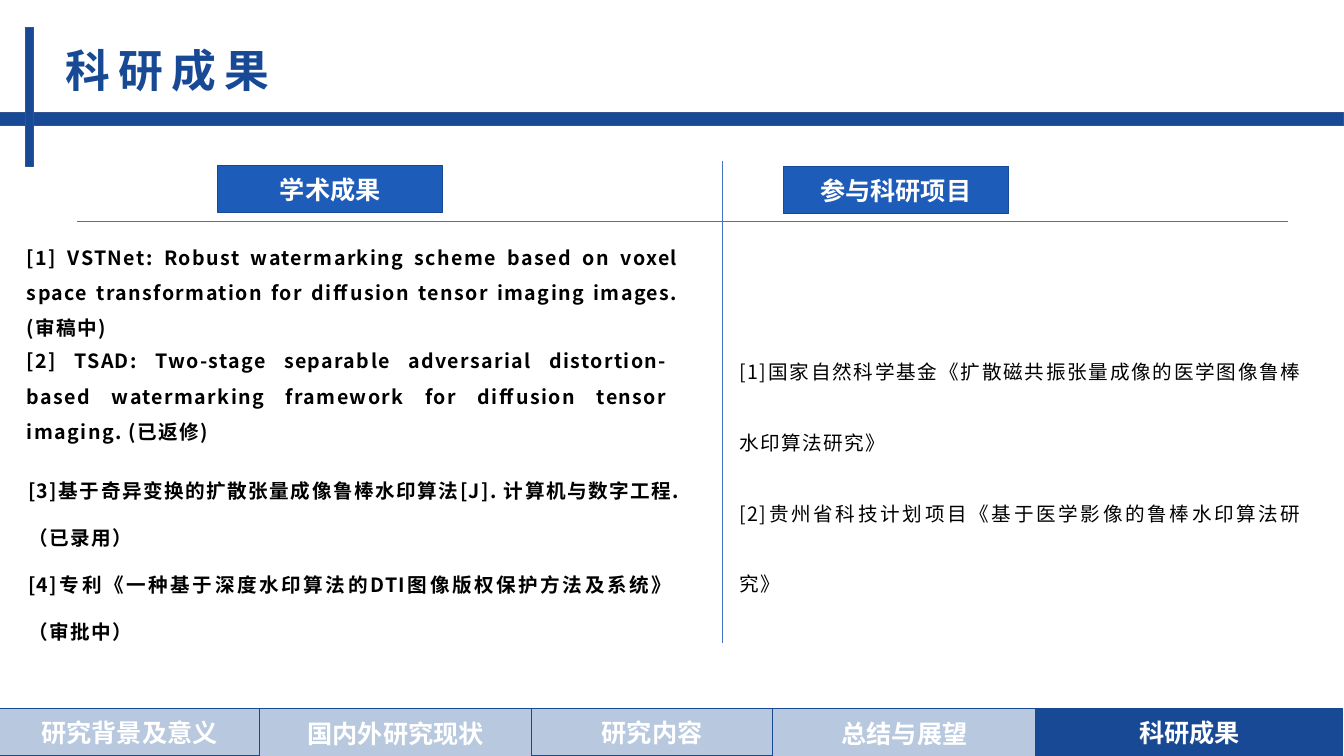
from itertools import pairwise

from lxml.etree import SubElement
from pptx import Presentation
from pptx.dml.color import RGBColor
from pptx.enum.shapes import MSO_CONNECTOR as Connector, MSO_SHAPE as Shape
from pptx.enum.text import MSO_ANCHOR as Anchor, MSO_AUTO_SIZE as AutoSize, PP_ALIGN as Align
from pptx.oxml.ns import qn
from pptx.util import Cm, Pt

CJK_FONT = "Noto Sans CJK SC"
NAVY, BLUE, WHITE, BLACK = "174994", "1D5CB9", "FFFFFF", "000000"
BAR_LINE, RULE_LINE = "325491", "4472C4"


def colour(value):
    """Turn a hex string into a colour."""
    return RGBColor.from_string(value)


def write(frame, *texts, size=18, font=CJK_FONT, ink=WHITE, bold=True,
          align=Align.CENTER, line_spacing=1.0, tracking=0):
    """Write each text as one formatted paragraph of the frame."""
    for index, text in enumerate(texts):
        paragraph = frame.add_paragraph() if index else frame.paragraphs[0]
        paragraph.alignment = align
        paragraph.line_spacing = line_spacing
        run = paragraph.add_run()
        run.text = text
        run.font.size = Pt(size)
        run.font.bold = bold
        run.font.name = font
        run.font.color.rgb = colour(ink)
        properties = run.font._element
        SubElement(properties, qn("a:ea")).set("typeface", CJK_FONT)
        if tracking:
            properties.set("spc", str(tracking * 100))


def add_bar(slide, left, top, width, height, fill=NAVY, line=NAVY, opacity=100):
    """Add a rectangle with a hairline border and return it."""
    shape = slide.shapes.add_shape(Shape.RECTANGLE, Cm(left), Cm(top), Cm(width), Cm(height))
    shape.shadow.inherit = False
    shape.fill.solid()
    shape.fill.fore_color.rgb = colour(fill)
    shape.line.color.rgb = colour(line)
    shape.line.width = Pt(0)
    if opacity < 100:
        tint = shape.fill._xPr.find(qn("a:solidFill"))[0]
        SubElement(tint, qn("a:alpha")).set("val", str(opacity * 1000))
    return shape


def add_label(slide, text, *box, **style):
    """Add a rectangle with a centred label."""
    frame = add_bar(slide, *box, **style).text_frame
    frame.vertical_anchor = Anchor.MIDDLE
    frame.word_wrap = True
    write(frame, text)


def add_rule(slide, left, top, right, bottom):
    """Add a thin straight line."""
    rule = slide.shapes.add_connector(Connector.STRAIGHT, Cm(left), Cm(top), Cm(right), Cm(bottom))
    rule.line.color.rgb = colour(RULE_LINE)
    rule.line.width = Pt(0.5)
    SubElement(rule._element.spPr, qn("a:effectLst"))


def add_title(slide, text):
    """Add the slide title beside the vertical bar."""
    frame = slide.shapes.add_textbox(Cm(0.64), Cm(1.4), Cm(13.39), Cm(1.02)).text_frame
    frame.margin_left = Cm(1)
    frame.margin_top = frame.margin_right = frame.margin_bottom = 0
    frame.vertical_anchor = Anchor.BOTTOM
    frame.word_wrap = False
    write(frame, text, size=32, font="Arial", ink=NAVY, align=Align.LEFT, tracking=6)


def add_entries(slide, left, top, width, height, *texts, **style):
    """Add a justified text box with numbered entries."""
    frame = slide.shapes.add_textbox(Cm(left), Cm(top), Cm(width), Cm(height)).text_frame
    frame.word_wrap = True
    frame.auto_size = AutoSize.SHAPE_TO_FIT_TEXT
    write(frame, *texts, size=14, ink=BLACK, align=Align.JUSTIFY, tracking=1, **style)


def add_navigation(slide, current):
    """Add the section tabs along the bottom, with the current one solid."""
    sections = [("研究背景及意义", 1.19), ("国内外研究现状", 1.24), ("研究内容", 1.19),
                ("总结与展望", 1.22), ("科研成果", 1.19)]
    edges = [-0.02, 6.55, 13.39, 19.48, 26.11, 33.84]
    for (name, height), (left, right) in zip(sections, pairwise(edges)):
        add_label(slide, name, left, 17.86, right - left, height,
                  opacity=100 if name == current else 30)


def main():
    """Build the research results slide."""
    presentation = Presentation()
    presentation.slide_width, presentation.slide_height = Cm(33.87), Cm(19.05)
    slide = presentation.slides.add_slide(presentation.slide_layouts[6])

    add_bar(slide, 0, 2.84, 33.87, 0.33, line=BAR_LINE)
    add_bar(slide, 0.64, 0.69, 0.21, 3.5, line=BAR_LINE)
    add_title(slide, "科研成果")
    add_navigation(slide, "科研成果")

    add_rule(slide, 1.95, 5.58, 32.46, 5.58)
    add_rule(slide, 18.21, 4.06, 18.21, 16.2)
    add_label(slide, "学术成果", 5.49, 4.17, 5.67, 1.19, fill=BLUE)
    add_label(slide, "参与科研项目", 19.74, 4.2, 5.67, 1.19, fill=BLUE)

    add_entries(slide, 0.43, 5.77, 16.94, 2.82,
                "[1] VSTNet: Robust watermarking scheme based on voxel space "
                "transformation for diffusion tensor imaging images. (审稿中)",
                line_spacing=1.5)
    add_entries(slide, 0.43, 8.38, 16.66, 2.82,
                "[2] TSAD: Two-stage separable adversarial distortion-based "
                "watermarking framework for diffusion tensor imaging. (已返修)",
                line_spacing=1.5)
    add_entries(slide, 0.46, 11.35, 16.74, 4.83,
                "[3]基于奇异变换的扩散张量成像鲁棒水印算法[J]. 计算机与数字工程.（已录用）",
                "[4]专利《一种基于深度水印算法的DTI图像版权保护方法及系统》（审批中）",
                line_spacing=2.0)
    add_entries(slide, 18.39, 7.77, 14.68, 5.31,
                "[1]国家自然科学基金《扩散磁共振张量成像的医学图像鲁棒水印算法研究》",
                "[2]贵州省科技计划项目《基于医学影像的鲁棒水印算法研究》",
                line_spacing=3.0, bold=False)

    presentation.save("out.pptx")


if __name__ == "__main__":
    main()
